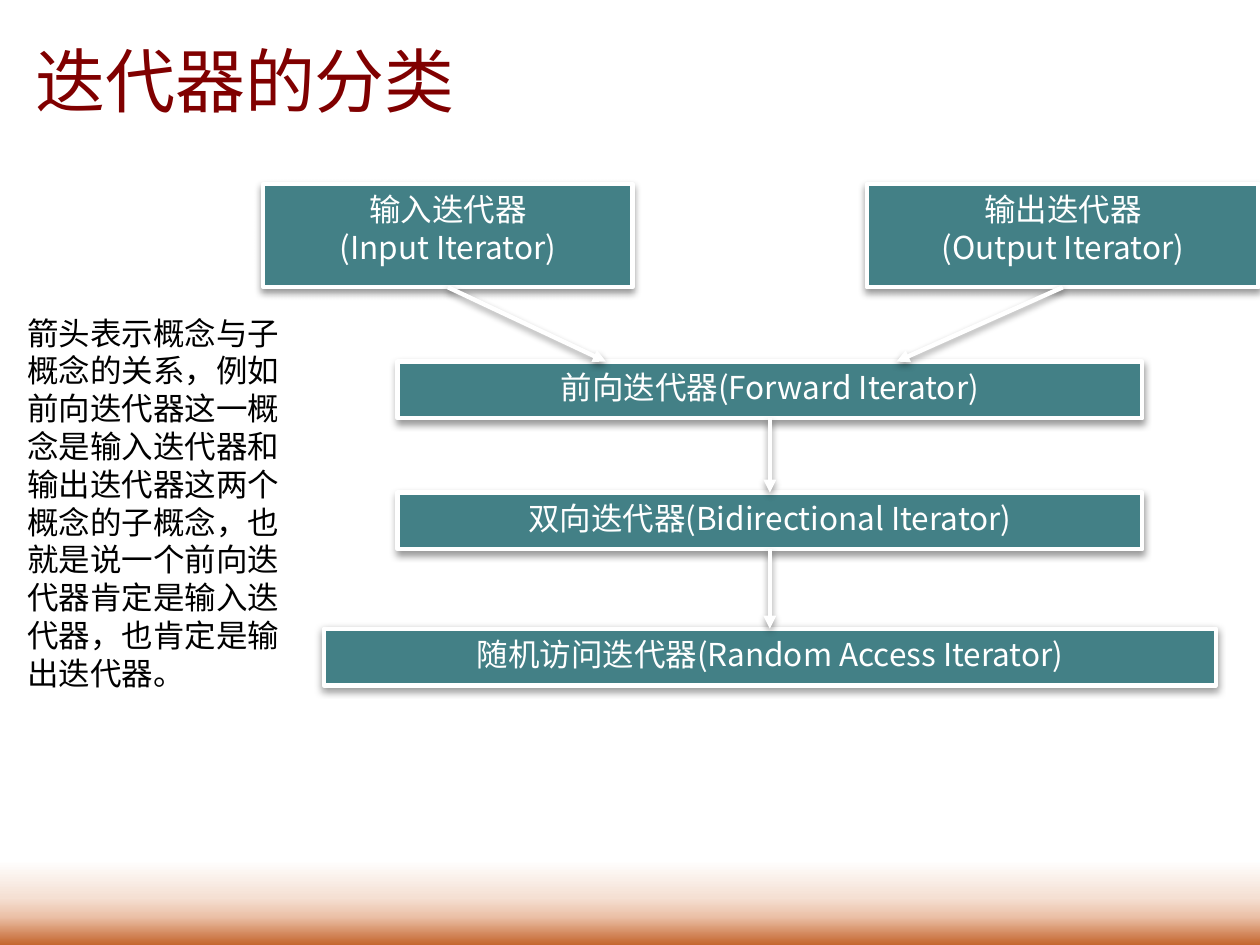
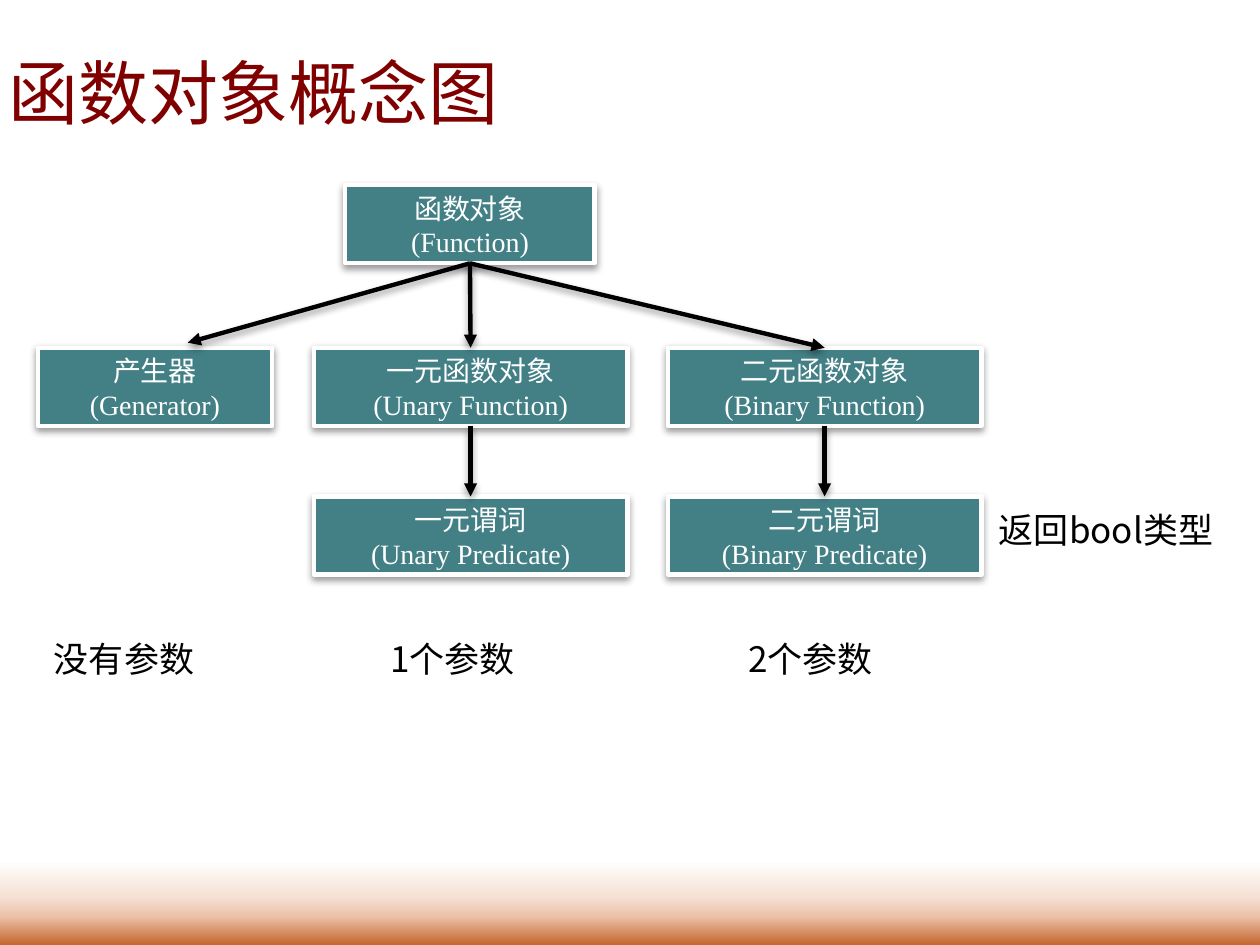
from dataclasses import dataclass

from lxml.etree import SubElement
from pptx import Presentation
from pptx.dml.color import RGBColor
from pptx.enum.shapes import MSO_CONNECTOR, MSO_SHAPE
from pptx.enum.text import MSO_ANCHOR, MSO_AUTO_SIZE, PP_ALIGN
from pptx.oxml.ns import qn
from pptx.util import Inches, Pt

# Shared look
TEAL = RGBColor(0x43, 0x80, 0x86)
MAROON = RGBColor(0x80, 0x00, 0x00)
WHITE = RGBColor(0xFF, 0xFF, 0xFF)
BLACK = RGBColor(0x00, 0x00, 0x00)
SUNSET = [
    (91, WHITE),
    (95, RGBColor(0xF5, 0xE0, 0xD3)),
    (97, RGBColor(0xEB, 0xC0, 0xA7)),
    (100, RGBColor(0xC4, 0x65, 0x2D)),
]
SANS = "Noto Sans CJK SC"
SERIF = "Times New Roman"
LINE_WIDTH = Pt(2.5)
CELL = Inches(0.1)  # the page is a grid of 100 columns by 75 rows


@dataclass
class Box:
    """A rectangle in grid columns and rows."""
    left: float
    top: float
    width: float
    height: float

    def inner(self, column, row, width, height):
        return Box(self.left + column, self.top + row, width, height)

    def point(self, across, down):
        return self.left + across * self.width, self.top + down * self.height

    def lengths(self):
        return [round(cells * CELL) for cells in
                (self.left, self.top, self.width, self.height)]


def add_color(parent, color, alpha=None):
    node = SubElement(parent, qn("a:srgbClr"), val=str(color))
    if alpha:
        SubElement(node, qn("a:alpha"), val=str(alpha * 1000))


def paint_background(master):
    fill = master.background.fill
    fill.gradient()
    fill.gradient_angle = 270
    stops = master.element.find(".//" + qn("p:bg")).find(".//" + qn("a:gsLst"))
    for stop in list(stops):
        stops.remove(stop)
    for position, color in SUNSET:
        add_color(SubElement(stops, qn("a:gs"), pos=str(position * 1000)), color)


def add_shadow(item):
    properties = item.element.spPr
    effects = properties.find(qn("a:effectLst"))
    if effects is None:
        effects = SubElement(properties, qn("a:effectLst"))
    shadow = SubElement(effects, qn("a:outerShdw"), blurRad=str(int(Pt(4.1))),
                        dist=str(int(Pt(2))), dir="5400000", rotWithShape="0")
    add_color(shadow, BLACK, alpha=40)


def write(frame, text, size, color, font=SANS, align=PP_ALIGN.LEFT,
          anchor=MSO_ANCHOR.TOP):
    frame_format = {"word_wrap": True, "auto_size": MSO_AUTO_SIZE.NONE,
                    "vertical_anchor": anchor}
    for name, value in frame_format.items():
        setattr(frame, name, value)
    frame.text = text
    for para in frame.paragraphs:
        para.alignment = align
        for span in para.runs:
            for name, value in {"size": Pt(size), "name": font}.items():
                setattr(span.font, name, value)
            span.font.color.rgb = color
            # East Asian glyphs need their own typeface
            latin = span.font.color and span._r.find(qn("a:rPr"))
            SubElement(latin, qn("a:ea"), typeface=SANS)


def add_title(page, text, box):
    title = page.shapes.title
    for name, value in zip(("left", "top", "width", "height"), box.lengths()):
        setattr(title, name, value)
    write(title.text_frame, text, 40, MAROON, anchor=MSO_ANCHOR.MIDDLE)


def add_node(page, text, box, size, font):
    node = page.shapes.add_shape(MSO_SHAPE.RECTANGLE, *box.lengths())
    node.fill.solid()
    node.fill.fore_color.rgb = TEAL
    node.line.color.rgb = WHITE
    node.line.width = LINE_WIDTH
    node.shadow.inherit = False
    add_shadow(node)
    write(node.text_frame, text, size, WHITE, font, PP_ALIGN.CENTER)
    return box


def add_arrow(page, start, end, color):
    ends = [round(cells * CELL) for cells in (*start, *end)]
    arrow = page.shapes.add_connector(MSO_CONNECTOR.STRAIGHT, *ends)
    arrow.line.color.rgb = color
    arrow.line.width = LINE_WIDTH
    SubElement(arrow.element.spPr.find(qn("a:ln")), qn("a:tailEnd"), type="triangle")
    add_shadow(arrow)


def add_note(page, text, box, size):
    note = page.shapes.add_textbox(*box.lengths())
    write(note.text_frame, text, size, BLACK)


def draw_iterator_chain(page, region):
    def node(text, column, row, width, height):
        return add_node(page, text, region.inner(column, row, width, height), 18, SANS)

    # Two sources on top, then a centred chain below
    sources = [node("输入迭代器\v(Input Iterator)", 0, 0, 29.3, 8.2),
               node("输出迭代器\v(Output Iterator)", 47.9, 0, 31.1, 8.2)]
    axis = 40.2
    chain = [node(text, axis - width / 2, row, width, 4.5) for text, row, width in (
        ("前向迭代器(Forward Iterator)", 14.1, 59.1),
        ("双向迭代器(Bidirectional Iterator)", 24.5, 59.1),
        ("随机访问迭代器(Random Access Iterator)", 35.3, 70.8))]

    for source, across in zip(sources, (0.28, 0.67)):
        add_arrow(page, source.point(0.5, 1), chain[0].point(across, 0), WHITE)
    for upper, lower in zip(chain, chain[1:]):
        add_arrow(page, upper.point(0.5, 1), lower.point(0.5, 0), WHITE)


def draw_function_tree(page, region):
    def node(text, column, row, width):
        return add_node(page, text, region.inner(column, row, width, 6.2), 16, SERIF)

    # Root, then a row of kinds, then a row of predicates
    root = node("函数对象\n(Function)", 24.4, 0, 19.8)
    node("产生器\n(Generator)", 0, 12.9, 18.6)
    add_arrow(page, root.point(0.5, 1), (region.left + 11.9, region.top + 12.5), BLACK)
    for column, prefix, english in ((21.9, "一元", "Unary"), (50, "二元", "Binary")):
        kind = node(f"{prefix}函数对象\n({english} Function)", column, 12.9, 24.9)
        predicate = node(f"{prefix}谓词\n({english} Predicate)", column, 24.7, 24.9)
        add_arrow(page, root.point(0.5, 1), kind.point(0.5, 0), BLACK)
        add_arrow(page, kind.point(0.5, 1), predicate.point(0.5, 0), BLACK)

    # Argument counts under the columns, result type beside the predicates
    for text, column, row, width in (("没有参数", 0.3, 35.4, 17.3),
                                     ("1个参数", 27, 35.4, 17.3),
                                     ("2个参数", 55.4, 35.4, 17.3),
                                     ("返回bool类型", 75.3, 25.2, 24.4)):
        add_note(page, text, region.inner(column, row, width, 4.4), 20)


deck = Presentation()
deck.slide_width, deck.slide_height = 100 * CELL, 75 * CELL
paint_background(deck.slide_master)
title_only = deck.slide_layouts.get_by_name("Title Only")

# Iterator categories
page = deck.slides.add_slide(title_only)
add_title(page, "迭代器的分类", Box(1.8, 0.5, 120.1, 11.7))
draw_iterator_chain(page, Box(20.9, 14.6, 79, 39.8))
add_note(page, "箭头表示概念与子概念的关系，例如前向迭代器这一概念是输入迭代器和"
               "输出迭代器这两个概念的子概念，也就是说一个前向迭代器肯定是输入迭代器，"
               "也肯定是输出迭代器。", Box(1.2, 24.4, 23.3, 31.3), 18)

# Function object concepts
page = deck.slides.add_slide(title_only)
add_title(page, "函数对象概念图", Box(-0.3, 1.4, 120.1, 11.7))
draw_function_tree(page, Box(3, 14.7, 99.7, 39.8))

deck.save("out.pptx")
